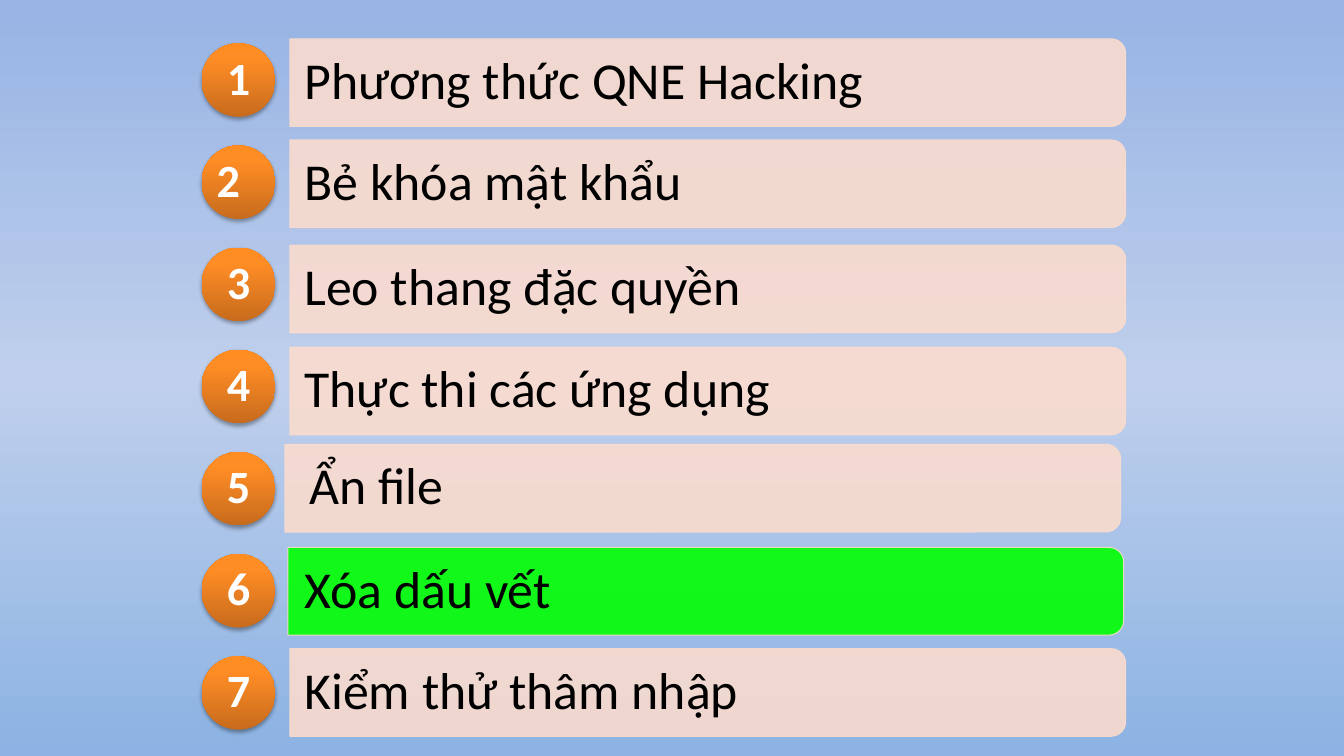
import pptx
import pptx.util
import pptx.dml.color
import pptx.enum.shapes
import pptx.enum.text
import pptx.oxml
import pptx.oxml.ns
from lxml import etree

Inches = pptx.util.Inches
qn = pptx.oxml.ns.qn
ALIGN = pptx.enum.text.PP_ALIGN
SHAPE = pptx.enum.shapes.MSO_SHAPE

COLORS = {
    "bar": "FBDCCE", "current": "00FF00", "topic": "000000",
    "number": "FFFFFF", "shadow": "000000",
}
SKY = [(0, "97B4E4"), (50, "BFCFEC"), (100, "8CB3E3")]
ORANGE = [(0, "C86B1D"), (80, "FF8D25"), (100, "FF8D22")]

TOPICS = [
    {"topic": "Phương thức QNE Hacking"},
    {"topic": "Bẻ khóa mật khẩu", "down": -0.01, "number_inset": 0.2},
    {"topic": "Leo thang đặc quyền", "down": 0.02},
    {"topic": "Thực thi các ứng dụng", "down": 0.02},
    {"topic": "Ẩn file", "down": -0.03, "bar_right": -0.05, "topic_right": 0.05},
    {"topic": "Xóa dấu vết", "down": -0.02, "bar_right": -0.02, "fill": "current"},
    {"topic": "Kiểm thử thâm nhập", "down": -0.03},
]

WIDTH, HEIGHT = 13.33, 7.5
BAR_LENGTH, BAR_HEIGHT, BAR_CENTER = 8.29, 0.87, 7.02
TOPIC_LEFT, TOPIC_WIDTH, TOPIC_HEIGHT = 2.87, 8.25, 0.78
CIRCLE_LEFT, CIRCLE_SIZE, NUMBER_SIZE = 2, 0.73, 0.52
FIRST_CIRCLE, LAST_CIRCLE = 0.43, 6.51
FIRST_BAR_CENTER = 0.82
PITCH = (LAST_CIRCLE - FIRST_CIRCLE) / (len(TOPICS) - 1)


def rgb(name):
    return pptx.dml.color.RGBColor.from_string(COLORS[name])


def set_gradient(fill, element, stops, angle):
    fill.gradient()
    fill.gradient_angle = angle
    stop_list = next(element.iter(qn("a:gsLst")))
    for stop in list(stop_list):
        stop_list.remove(stop)
    for position, color in stops:
        stop = etree.SubElement(stop_list, qn("a:gs"), pos=str(position * 1000))
        etree.SubElement(stop, qn("a:srgbClr"), val=color)


def set_alpha(element, percent):
    for color in element.iter(qn("a:srgbClr")):
        etree.SubElement(color, qn("a:alpha"), val=str(percent * 1000))


def add_text(slide, text, left, top, width, height, size, color,
             bold=False, align=ALIGN.LEFT, insets=(0, 0, 0, 0)):
    box = slide.shapes.add_textbox(*map(Inches, (left, top, width, height)))
    frame = box.text_frame
    frame.word_wrap = True
    frame.vertical_anchor = pptx.enum.text.MSO_ANCHOR.MIDDLE
    (frame.margin_left, frame.margin_top,
     frame.margin_right, frame.margin_bottom) = map(Inches, insets)
    paragraph = frame.paragraphs[0]
    paragraph.alignment = align
    paragraph.line_spacing = 0.9
    run = paragraph.add_run()
    run.text = text
    run.font.name = "Calibri"
    run.font.size = pptx.util.Pt(size)
    run.font.bold = bold
    run.font.color.rgb = rgb(color)


def add_bar(slide, center_x, center_y, fill):
    bar = slide.shapes.add_shape(
        SHAPE.ROUND_2_SAME_RECTANGLE,
        Inches(center_x - BAR_HEIGHT / 2), Inches(center_y - BAR_LENGTH / 2),
        Inches(BAR_HEIGHT), Inches(BAR_LENGTH))
    bar.rotation = 90
    bar.adjustments[0] = 0.167
    bar.adjustments[1] = 0
    bar.fill.solid()
    bar.fill.fore_color.rgb = rgb(fill)
    bar.line.color.rgb = rgb("bar")
    bar.line.width = pptx.util.Pt(0.75)
    bar.shadow.inherit = False
    set_alpha(bar.element.spPr, 89)


def add_circle(slide, top):
    circle = slide.shapes.add_shape(
        SHAPE.OVAL, *map(Inches, (CIRCLE_LEFT, top, CIRCLE_SIZE, CIRCLE_SIZE)))
    set_gradient(circle.fill, circle.element.spPr, ORANGE, 90)
    circle.line.fill.background()
    circle.shadow.inherit = False
    effects = circle.element.spPr.find(qn("a:effectLst"))
    shadow = etree.SubElement(
        effects, qn("a:outerShdw"), blurRad=str(pptx.util.Pt(3.1)),
        dist=str(pptx.util.Pt(1.8)), dir="5400000", rotWithShape="0")
    etree.SubElement(shadow, qn("a:srgbClr"), val=COLORS["shadow"])
    set_alpha(shadow, 34)


def main():
    presentation = pptx.Presentation()
    presentation.slide_width = Inches(WIDTH)
    presentation.slide_height = Inches(HEIGHT)
    slide = presentation.slides.add_slide(presentation.slide_layouts[6])
    set_gradient(slide.background.fill, slide.element, SKY, 270)

    number_gap = (CIRCLE_SIZE - NUMBER_SIZE) / 2
    for index, row in enumerate(TOPICS):
        center = FIRST_BAR_CENTER + index * PITCH + row.get("down", 0)
        circle_top = FIRST_CIRCLE + index * PITCH
        add_bar(slide, BAR_CENTER + row.get("bar_right", 0), center,
                row.get("fill", "bar"))
        add_text(slide, row["topic"], TOPIC_LEFT + row.get("topic_right", 0),
                 center - TOPIC_HEIGHT / 2, TOPIC_WIDTH, TOPIC_HEIGHT,
                 size=37, color="topic", insets=(0.15, 0.1, 0.15, 0.1))
        add_circle(slide, circle_top)
        add_text(slide, str(index + 1), CIRCLE_LEFT + number_gap,
                 circle_top + number_gap, NUMBER_SIZE, NUMBER_SIZE,
                 size=33, color="number", bold=True, align=ALIGN.CENTER,
                 insets=(0, 0, row.get("number_inset", 0), 0))
    presentation.save("out.pptx")


if __name__ == "__main__":
    main()
